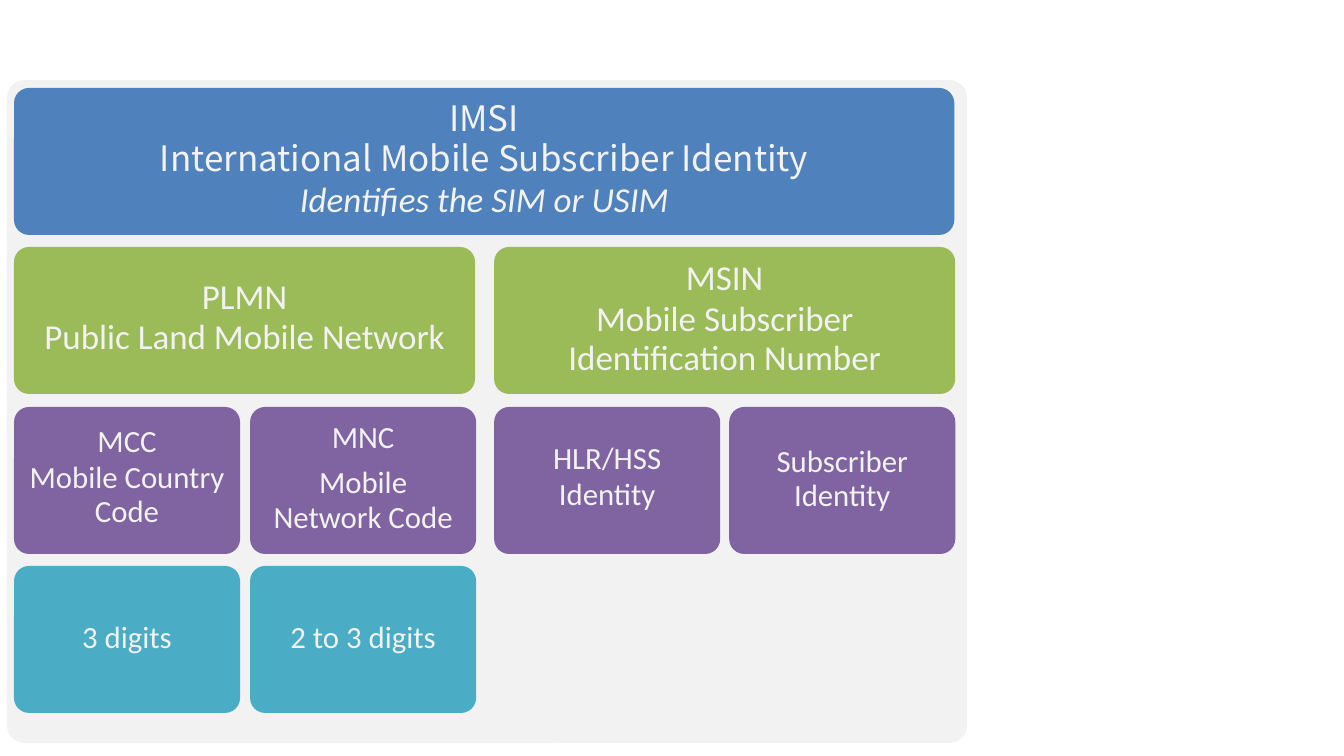
"""Build a slide showing how an IMSI is divided into its parts."""
from pptx import Presentation
from pptx import util as u
from pptx.dml.color import RGBColor
from pptx.enum import shapes, text

PIXEL = u.Inches(1) / 100.8
BLUE = RGBColor(0x4F, 0x81, 0xBC)
GREEN = RGBColor(0x9B, 0xBA, 0x58)
PURPLE = RGBColor(0x80, 0x63, 0xA1)
TEAL = RGBColor(0x4A, 0xAC, 0xC5)
PALE = RGBColor(0xF2, 0xF2, 0xF2)

BODY_FONT = "Calibri"
TITLE_FONT = "Noto Sans CJK KR"
LARGE, MEDIUM = 25, 22
COLUMNS = (14, 250, 494, 729)
ROWS = (88, 247, 407, 566)
QUARTER, HALF, FULL = 226, 461, 940
BOX_HEIGHT = 147
CORNER = 15
SIDE_INSET = 6


def px(value):
    """Convert pixels to EMU."""
    return u.Emu(round(value * PIXEL))


def add_rounded(slide, left, top, width, height, corner, color):
    """Add a plain rounded rectangle with the given corner radius."""
    shape = slide.shapes.add_shape(
        shapes.MSO_SHAPE.ROUNDED_RECTANGLE, px(left), px(top), px(width), px(height))
    shape.adjustments[0] = round(corner / min(width, height), 3)
    shape.shadow.inherit = False
    shape.fill.solid()
    shape.fill.fore_color.rgb = color
    shape.line.fill.background()
    return shape


def add_box(slide, column, row, width, color, size, inset, lines):
    """Add a grid box; each line is (text, line spacing, space before, font, italic)."""
    shape = add_rounded(
        slide, COLUMNS[column], ROWS[row], width, BOX_HEIGHT, CORNER, color)
    frame = shape.text_frame
    frame.word_wrap = True
    frame.vertical_anchor = text.MSO_ANCHOR.TOP
    frame.margin_left = frame.margin_right = px(SIDE_INSET)
    frame.margin_top, frame.margin_bottom = px(inset), 0
    for index, line in enumerate(lines):
        paragraph = frame.add_paragraph() if index else frame.paragraphs[0]
        add_line(paragraph, size, *line)


def add_line(paragraph, size, words, spacing=None, before=0, font=BODY_FONT, italic=False):
    """Fill and format one centred paragraph."""
    paragraph.text = words
    paragraph.alignment = text.PP_ALIGN.CENTER
    paragraph.space_before = u.Pt(before)
    if spacing:
        paragraph.line_spacing = u.Pt(spacing)
    paragraph.font.name = font
    paragraph.font.size = u.Pt(size)
    paragraph.font.italic = italic
    paragraph.font.color.rgb = PALE


def main():
    """Build and save the slide."""
    presentation = Presentation()
    presentation.slide_width = u.Inches(13.33)
    presentation.slide_height = u.Inches(7.5)
    slide = presentation.slides.add_slide(presentation.slide_layouts[6])

    add_rounded(slide, 7, 80, 960, 663, 18, PALE)
    add_box(slide, 0, 0, FULL, BLUE, LARGE, 6, [
        ("IMSI", 28.8, 0, TITLE_FONT),
        ("International Mobile Subscriber Identity", 28.8, 0, TITLE_FONT),
        ("Identifies the SIM or USIM", 28.8, 0, BODY_FONT, True)])
    add_box(slide, 0, 1, HALF, GREEN, LARGE, 25, [
        ("PLMN", 28.8), ("Public Land Mobile Network", 28.8)])
    add_box(slide, 2, 1, HALF, GREEN, LARGE, 6, [
        ("MSIN", 28.8), ("Mobile Subscriber Identification Number", 27.5, 1.8)])
    add_box(slide, 0, 2, QUARTER, PURPLE, MEDIUM, 12, [
        ("MCC", 25.3), ("Mobile Country Code", 24.1, 1.6)])
    add_box(slide, 1, 2, QUARTER, PURPLE, MEDIUM, 6, [
        ("MNC",), ("Mobile", 25.2, 7.2), ("Network Code", 25.2)])
    add_box(slide, 2, 2, QUARTER, PURPLE, MEDIUM, 29, [
        ("HLR/HSS", 25.4), ("Identity", 25.4)])
    add_box(slide, 3, 2, QUARTER, PURPLE, MEDIUM, 33, [
        ("Subscriber Identity", 24.3)])
    for column, digits in enumerate(("3 digits", "2 to 3 digits")):
        add_box(slide, column, 3, QUARTER, TEAL, MEDIUM, 47, [(digits,)])

    presentation.save("out.pptx")


main()
